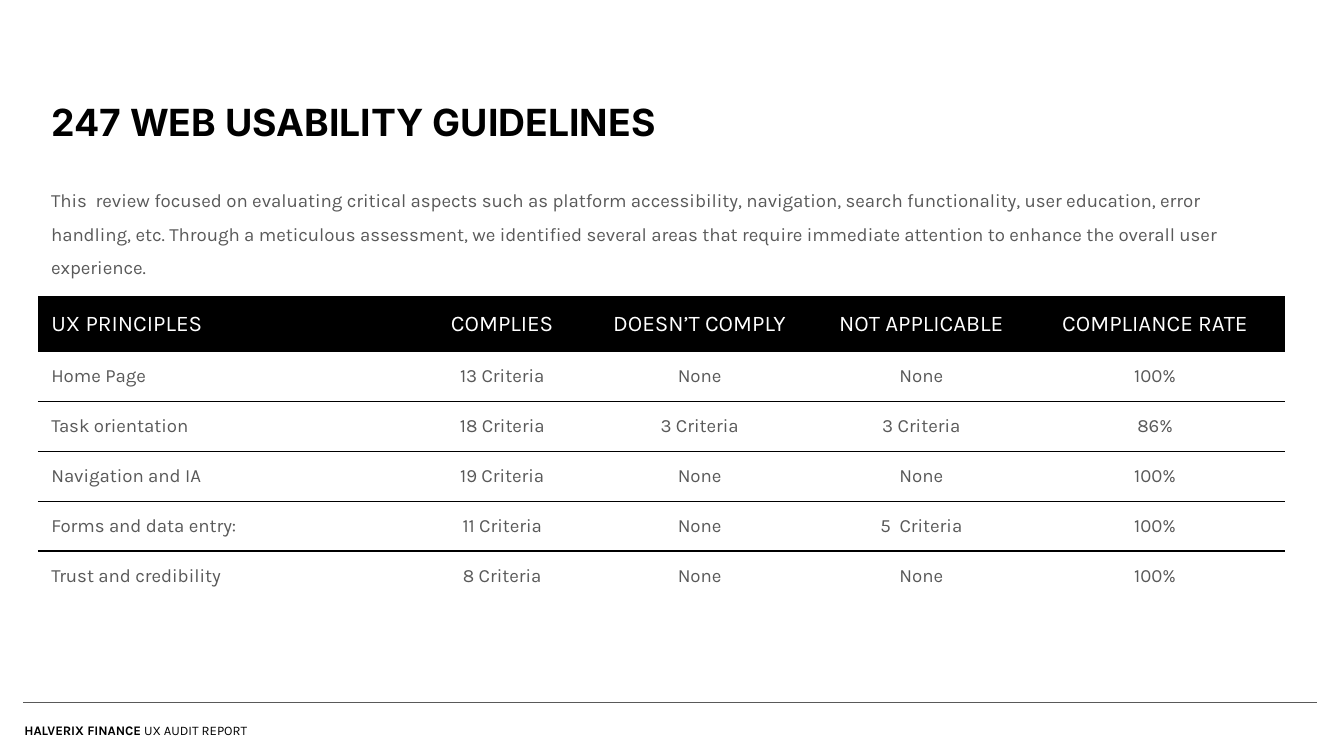
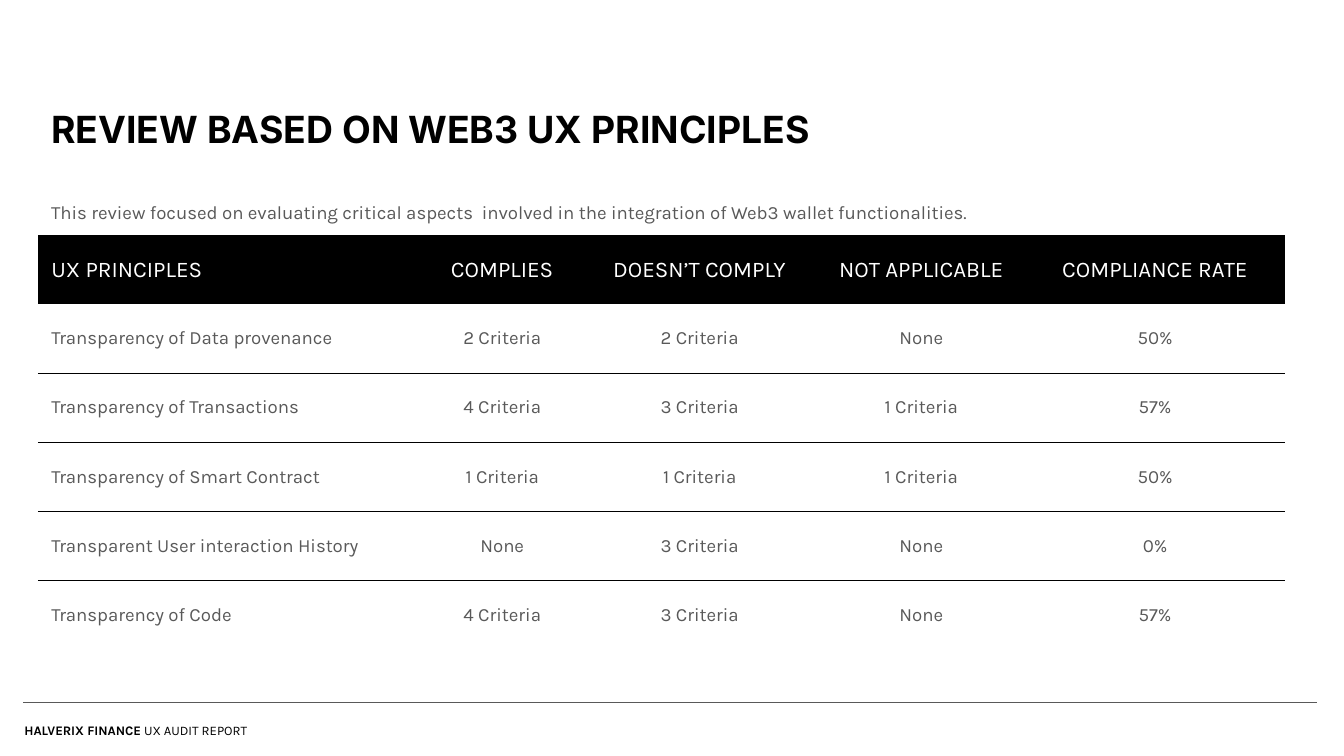
"""Build two usability audit slides, each with a title, an introduction and a results table."""
from dataclasses import dataclass

from pptx import Presentation
from pptx.dml.color import RGBColor
from pptx.enum import shapes, text
from pptx.oxml import parse_xml
from pptx.oxml.ns import nsdecls, qn
from pptx.util import Pt

BLACK = RGBColor(0x00, 0x00, 0x00)
WHITE = RGBColor(0xFF, 0xFF, 0xFF)
GREY = RGBColor(0x59, 0x59, 0x59)
HEAD_FONT, BODY_FONT = "Inter", "Karla"
LEFT = Pt(20.3)
INSET = Pt(7.2)
RULE = Pt(0.75)
COLUMNS = [Pt(w) for w in (206, 85.5, 126, 111.5, 139)]
HEADER = ("UX PRINCIPLES", "COMPLIES", "DOESN’T COMPLY", "NOT APPLICABLE", "COMPLIANCE RATE")
NO_STYLE = "{2D5ABB26-0587-4C30-8999-92F81FD0307C}"


@dataclass(frozen=True)
class Review:
    title: str
    title_spacing: float
    intro: str
    intro_top: Pt
    intro_width: Pt
    intro_height: Pt
    table_top: Pt
    header_height: Pt
    row_height: Pt
    rows: tuple


REVIEWS = (
    Review(
        "247 WEB USABILITY GUIDELINES", 1.0,
        "This  review focused on evaluating critical aspects such as platform accessibility, "
        "navigation, search functionality, user education, error handling, etc. Through a "
        "meticulous assessment, we identified several areas that require immediate attention "
        "to enhance the overall user experience.",
        Pt(88), Pt(667.5), Pt(44.5), Pt(158.5), Pt(30), Pt(26.7),
        (
            ("Home Page", "13 Criteria", "None", "None", "100%"),
            ("Task orientation", "18 Criteria", "3 Criteria", "3 Criteria", "86%"),
            ("Navigation and IA", "19 Criteria", "None", "None", "100%"),
            ("Forms and data entry:", "11 Criteria", "None", "5  Criteria", "100%"),
            ("Trust and credibility", "8 Criteria", "None", "None", "100%"),
        ),
    ),
    Review(
        "REVIEW BASED ON WEB3 UX PRINCIPLES", 1.15,
        "This review focused on evaluating critical aspects  involved in the integration of "
        "Web3 wallet functionalities.",
        Pt(94.5), Pt(656.5), Pt(26.5), Pt(126), Pt(37), Pt(37),
        (
            ("Transparency of Data provenance", "2 Criteria", "2 Criteria", "None", "50%"),
            ("Transparency of Transactions", "4 Criteria", "3 Criteria", "1 Criteria", "57%"),
            ("Transparency of Smart Contract", "1 Criteria", "1 Criteria", "1 Criteria", "50%"),
            ("Transparent User interaction History", "None", "3 Criteria", "None", "0%"),
            ("Transparency of Code", "4 Criteria", "3 Criteria", "None", "57%"),
        ),
    ),
)


def write(tf, *parts: str, size: float, color: RGBColor = GREY, font: str = BODY_FONT,
          bold: bool = False, spacing: float = 1.0, align=text.PP_ALIGN.LEFT) -> None:
    p = tf.paragraphs[0]
    p.alignment, p.line_spacing = align, spacing
    for i, part in enumerate(parts):
        r = p.add_run()
        r.text = part
        r.font.size, r.font.name = Pt(size), font
        r.font.bold = bold and i == 0
        r.font.color.rgb = color


def place(sp, left, top, width, height):
    sp.left, sp.top, sp.width, sp.height = left, top, width, height
    tf = sp.text_frame
    tf.word_wrap = True
    tf.auto_size = text.MSO_AUTO_SIZE.SHAPE_TO_FIT_TEXT
    tf.vertical_anchor = text.MSO_ANCHOR.TOP
    tf.margin_left = tf.margin_right = tf.margin_top = tf.margin_bottom = INSET
    return tf


def add_box(s, left, top, width, height):
    return place(s.shapes.add_textbox(left, top, width, height), left, top, width, height)


def add_footer(s) -> None:
    tf = add_box(s, Pt(6), Pt(376.5), Pt(149), Pt(23))
    write(tf, "HALVERIX FINANCE", " UX AUDIT REPORT", size=7, color=BLACK, bold=True, spacing=1.5)
    line = s.shapes.add_connector(shapes.MSO_CONNECTOR.STRAIGHT,
                                  Pt(12.4), Pt(376.5), Pt(705.6), Pt(376.5))
    line.line.color.rgb, line.line.width = GREY, RULE
    line.element.spPr.append(parse_xml(f"<a:effectLst {nsdecls('a')}/>"))


def add_border(cell, side: str, index: int) -> None:
    cell._tc.get_or_add_tcPr().insert(index, parse_xml(
        f'<a:{side} {nsdecls("a")} w="{RULE}"><a:solidFill><a:srgbClr val="{BLACK}"/>'
        f'</a:solidFill></a:{side}>'))


def format_cell(cell, value: str, row: int, col: int, last: int) -> None:
    header, first = row == 0, col == 0
    cell.vertical_anchor = text.MSO_ANCHOR.MIDDLE
    cell.margin_left = cell.margin_right = INSET if header or first else 0
    cell.margin_top = cell.margin_bottom = Pt(5) if header else 0
    if header:
        cell.fill.solid()
        cell.fill.fore_color.rgb = BLACK
    else:
        cell.fill.background()
    write(cell.text_frame, value, size=12 if header else 10, color=WHITE if header else GREY,
          align=text.PP_ALIGN.LEFT if first else text.PP_ALIGN.CENTER)
    if 0 < row < last:
        add_border(cell, "lnB", 0)
    if row > 1:
        add_border(cell, "lnT", 0)


def add_results(s, review: Review) -> None:
    rows = (HEADER, *review.rows)
    last = len(rows) - 1
    frame = s.shapes.add_table(len(rows), len(COLUMNS), LEFT, review.table_top, sum(COLUMNS),
                               review.header_height + last * review.row_height)
    table = frame.table
    table.horz_banding = False
    for style in frame.element.iter(qn("a:tableStyleId")):
        style.text = NO_STYLE
    for column, width in zip(table.columns, COLUMNS):
        column.width = width
    for i, values in enumerate(rows):
        table.rows[i].height = review.row_height if i else review.header_height
        for j, value in enumerate(values):
            format_cell(table.cell(i, j), value, i, j, last)


def add_review(prs, review: Review) -> None:
    s = prs.slides.add_slide(prs.slide_layouts[5])
    add_footer(s)
    write(place(s.shapes.title, LEFT, Pt(46), Pt(650), Pt(39)), review.title, size=20,
          color=BLACK, font=HEAD_FONT, bold=True, spacing=review.title_spacing)
    add_results(s, review)
    write(add_box(s, LEFT, review.intro_top, review.intro_width, review.intro_height),
          review.intro, size=10, spacing=1.5)


def main() -> None:
    prs = Presentation()
    prs.slide_width, prs.slide_height = Pt(720), Pt(405)
    for review in REVIEWS:
        add_review(prs, review)
    prs.save("out.pptx")


if __name__ == "__main__":
    main()
